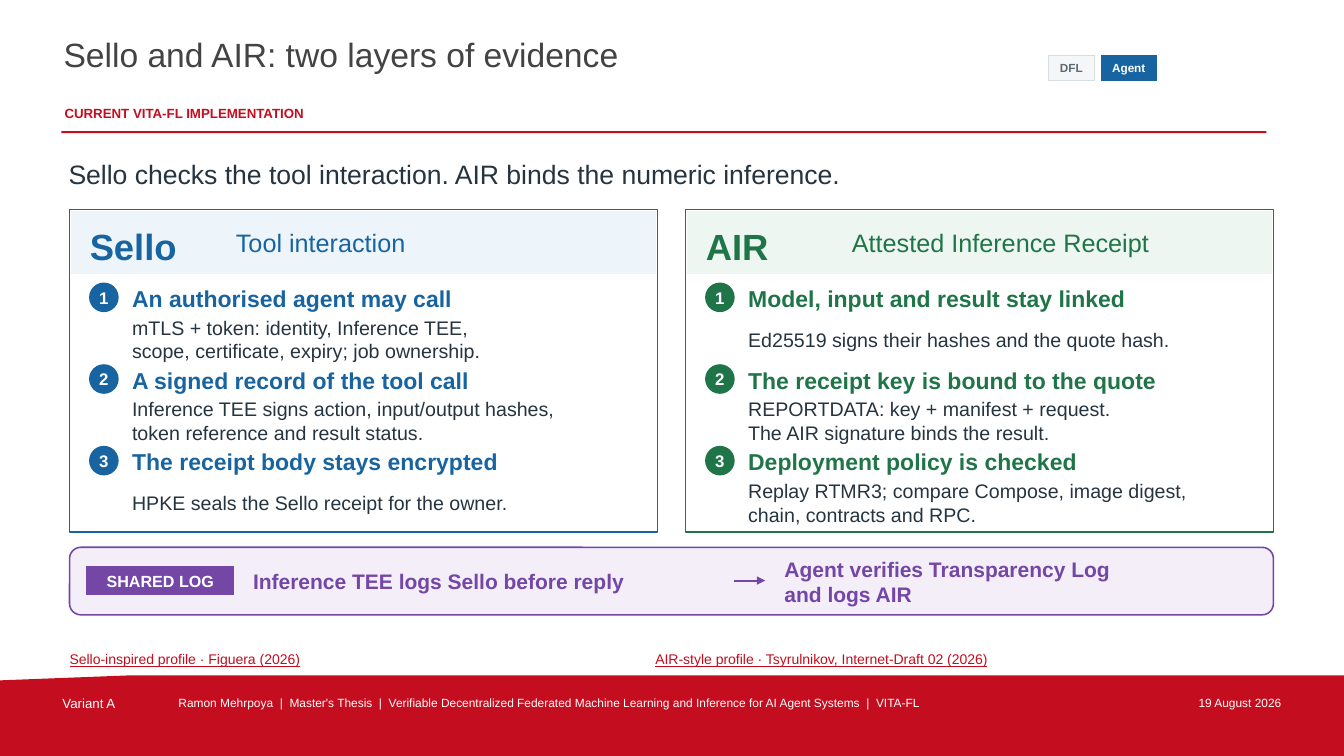
from lxml import etree
from pptx import Presentation
from pptx.dml.color import RGBColor
from pptx.enum.shapes import MSO_CONNECTOR, MSO_SHAPE
from pptx.enum.text import MSO_ANCHOR, MSO_AUTO_SIZE, PP_ALIGN
from pptx.oxml.ns import qn
from pptx.util import Pt

RECT, ROUND, OVAL = MSO_SHAPE.RECTANGLE, MSO_SHAPE.ROUNDED_RECTANGLE, MSO_SHAPE.OVAL
LEFT, MID, RIGHT = PP_ALIGN.LEFT, PP_ALIGN.CENTER, PP_ALIGN.RIGHT
TOP, CENTRE = MSO_ANCHOR.TOP, MSO_ANCHOR.MIDDLE
STRAIGHT = MSO_CONNECTOR.STRAIGHT
FIXED = MSO_AUTO_SIZE.NONE
PX = 9144

THEME = {
    "font": "Arial",
    "red": "C40D1E", "link": "C30D1E", "grey": "434343", "ink": "263440",
    "white": "FFFFFF", "mist": "F5F6F7", "edge": "D7DEE3", "slate": "5D6973",
    "blue": "1764A1", "sky": "EDF4FA", "green": "207548", "mint": "EDF6F0",
    "plum": "7446A6", "lilac": "F3EEF8",
    "title": 24, "lead": 19, "name": 26, "role": 18, "head": 16.4, "body": 14,
    "num": 12, "log": 15, "tag": 11.5, "cite": 10, "kick": 9.5, "foot": 8.5, "chip": 8.4,
}

deck = Presentation()
deck.slide_width, deck.slide_height = 1333 * PX, 750 * PX
slide = deck.slides.add_slide(deck.slide_layouts[5])
shapes = slide.shapes


def draw(kind, at, fill, line, width=0.5):
    shape = shapes.add_shape(kind, *[n * PX for n in at])
    shape.shadow.inherit = False
    shape.fill.solid()
    shape.fill.fore_color.rgb = RGBColor.from_string(THEME[fill])
    if line:
        shape.line.color.rgb = RGBColor.from_string(THEME[line])
        shape.line.width = Pt(width)
    else:
        shape.line.fill.background()
    return shape


def write(spot, text, size, color, align=LEFT, anchor=CENTRE, inset=0, **extra):
    if isinstance(spot, tuple):
        spot = shapes.add_textbox(*[n * PX for n in spot])
    frame = spot.text_frame
    form = {"word_wrap": True, "auto_size": FIXED, "vertical_anchor": anchor}
    for side in ("left", "top", "right", "bottom"):
        form["margin_" + side] = inset * PX
    for key, value in form.items():
        setattr(frame, key, value)
    para = frame.paragraphs[0]
    para.text = text
    para.alignment = align
    look = {"name": THEME["font"], "size": Pt(THEME[size]), **extra}
    for run in para.runs:
        for key, value in look.items():
            setattr(run.font, key, value)
        run.font.color.rgb = RGBColor.from_string(THEME[color])


wedge = shapes.build_freeform(0, 675, PX)
wedge.add_line_segments([(130, 670), (1333, 670), (1333, 750), (0, 750)])
band = wedge.convert_to_shape()
band.shadow.inherit = False
band.fill.solid()
band.fill.fore_color.rgb = RGBColor.from_string(THEME["red"])
band.line.fill.background()

title = shapes.title
for key, value in {"left": 61, "top": 32, "width": 965, "height": 62}.items():
    setattr(title, key, value * PX)
write(title, "Sello and AIR: two layers of evidence", "title", "grey", anchor=TOP, inset=2)
write((62, 102, 970, 22), "CURRENT VITA-FL IMPLEMENTATION", "kick", "red",
      anchor=TOP, inset=2, bold=True)
draw(RECT, (61, 130, 1195, 2), "red", None)

footer = [
    (60, 110, "Variant A", "kick", LEFT),
    (175, 935, "Ramon Mehrpoya  |  Master's Thesis  |  Verifiable Decentralized Federated "
     "Machine Learning and Inference for AI Agent Systems  |  VITA-FL", "foot", LEFT),
    (1120, 153, "19 August 2026", "foot", RIGHT),
]
for x, wide, text, size, align in footer:
    write((x, 688, wide, 22), text, size, "white", align, TOP, 2)

write((68, 147, 1196, 51),
      "Sello checks the tool interaction. AIR binds the numeric inference.", "lead", "ink")

chips = [(1040, 45, "DFL", "mist", "edge", "slate"), (1092, 55, "Agent", "blue", "blue", "white")]
for x, wide, text, fill, line, color in chips:
    chip = draw(RECT, (x, 55, wide, 25), fill, line, 0.55)
    write(chip, text, "chip", color, MID, bold=True)

panels = [
    ("Sello", "Tool interaction", "blue", "sky", [
        ("An authorised agent may call",
         "mTLS + token: identity, Inference TEE,\nscope, certificate, expiry; job ownership."),
        ("A signed record of the tool call",
         "Inference TEE signs action, input/output hashes,\ntoken reference and result status."),
        ("The receipt body stays encrypted",
         "HPKE seals the Sello receipt for the owner."),
    ]),
    ("AIR", "Attested Inference Receipt", "green", "mint", [
        ("Model, input and result stay linked",
         "Ed25519 signs their hashes and the quote hash."),
        ("The receipt key is bound to the quote",
         "REPORTDATA: key + manifest + request.\nThe AIR signature binds the result."),
        ("Deployment policy is checked",
         "Replay RTMR3; compare Compose, image digest,\nchain, contracts and RPC."),
    ]),
]
for col, (name, role, color, tint, items) in enumerate(panels):
    x = 69 + col * 611
    draw(RECT, (x, 208, 583, 320), "white", color, 1.1)
    draw(RECT, (x + 2, 210, 579, 61), tint, tint)
    write((x + 20, 220, 145, 48), name, "name", color, bold=True)
    write((x + 165, 224, 394, 33), role, "role", color)
    for row, (head, body) in enumerate(items):
        y = 280 + row * 81
        dot = draw(OVAL, (x + 20, y + 1, 28, 28), color, color, 1)
        write(dot, str(row + 1), "num", "white", MID, bold=True)
        write((x + 62, y, 499, 32), head, "head", color, bold=True)
        write((x + 62, y + 32, 497, 49), body, "body", "ink")

draw(ROUND, (69, 543, 1194, 67), "lilac", "plum", 1.1)
tag = draw(RECT, (86, 562, 146, 28), "plum", "plum")
write(tag, "SHARED LOG", "tag", "white", MID, bold=True)
write((251, 561, 466, 32), "Inference TEE logs Sello before reply", "log", "plum", bold=True)
write((778, 549, 462, 56), "Agent verifies Transparency Log\nand logs AIR", "log", "plum", bold=True)

arrow = shapes.add_connector(STRAIGHT, 728 * PX, 576 * PX, 759 * PX, 576 * PX)
arrow.line.color.rgb = RGBColor.from_string(THEME["plum"])
arrow.line.width = Pt(1.5)
etree.SubElement(arrow.line._get_or_add_ln(), qn("a:tailEnd"), type="triangle")
etree.SubElement(arrow._element.spPr, qn("a:effectLst"))

cites = [
    (69, 570, "Sello-inspired profile · Figuera (2026)"),
    (650, 610, "AIR-style profile · Tsyrulnikov, Internet-Draft 02 (2026)"),
]
for x, wide, text in cites:
    write((x, 643, wide, 22), text, "cite", "link", underline=True)

deck.save("out.pptx")
